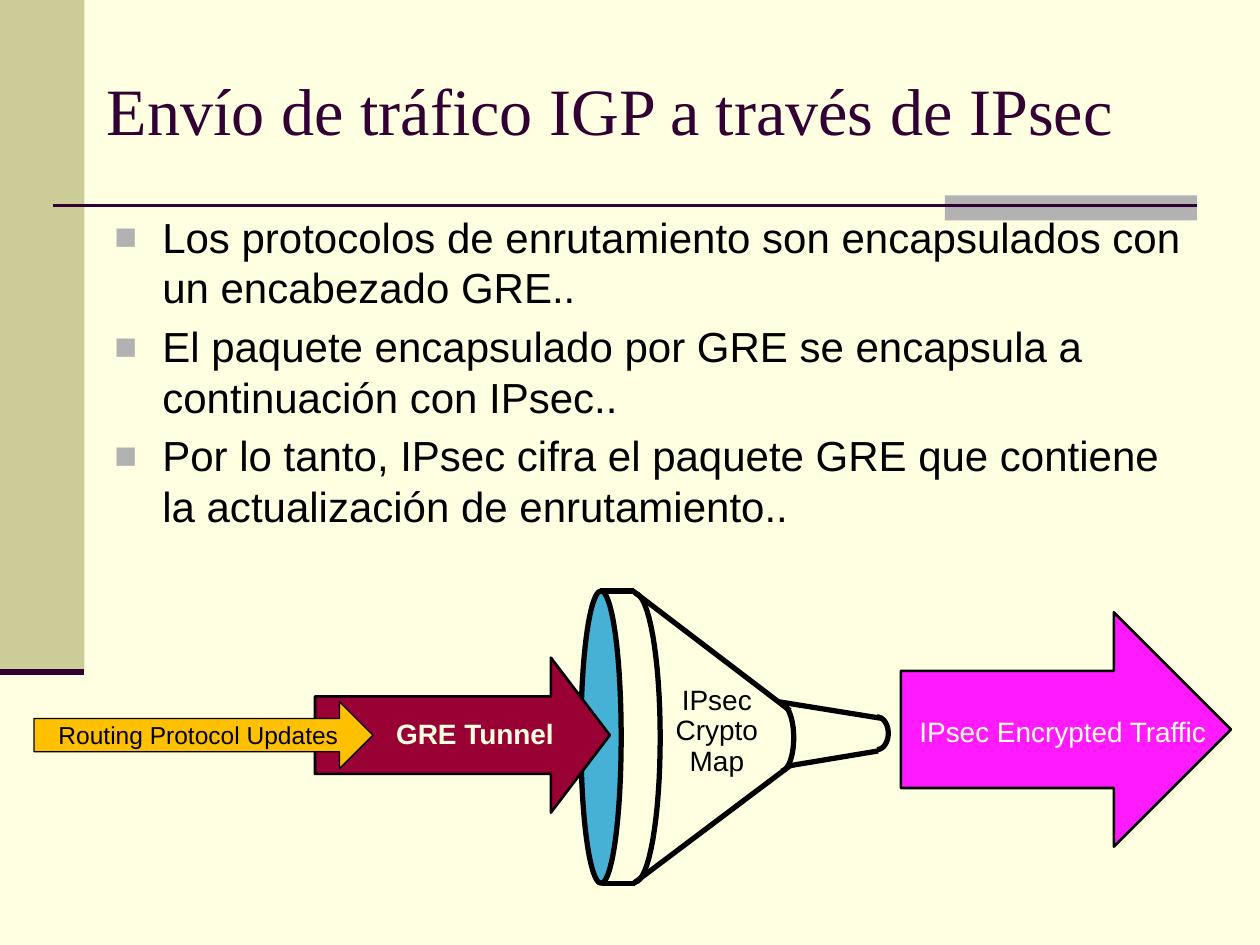
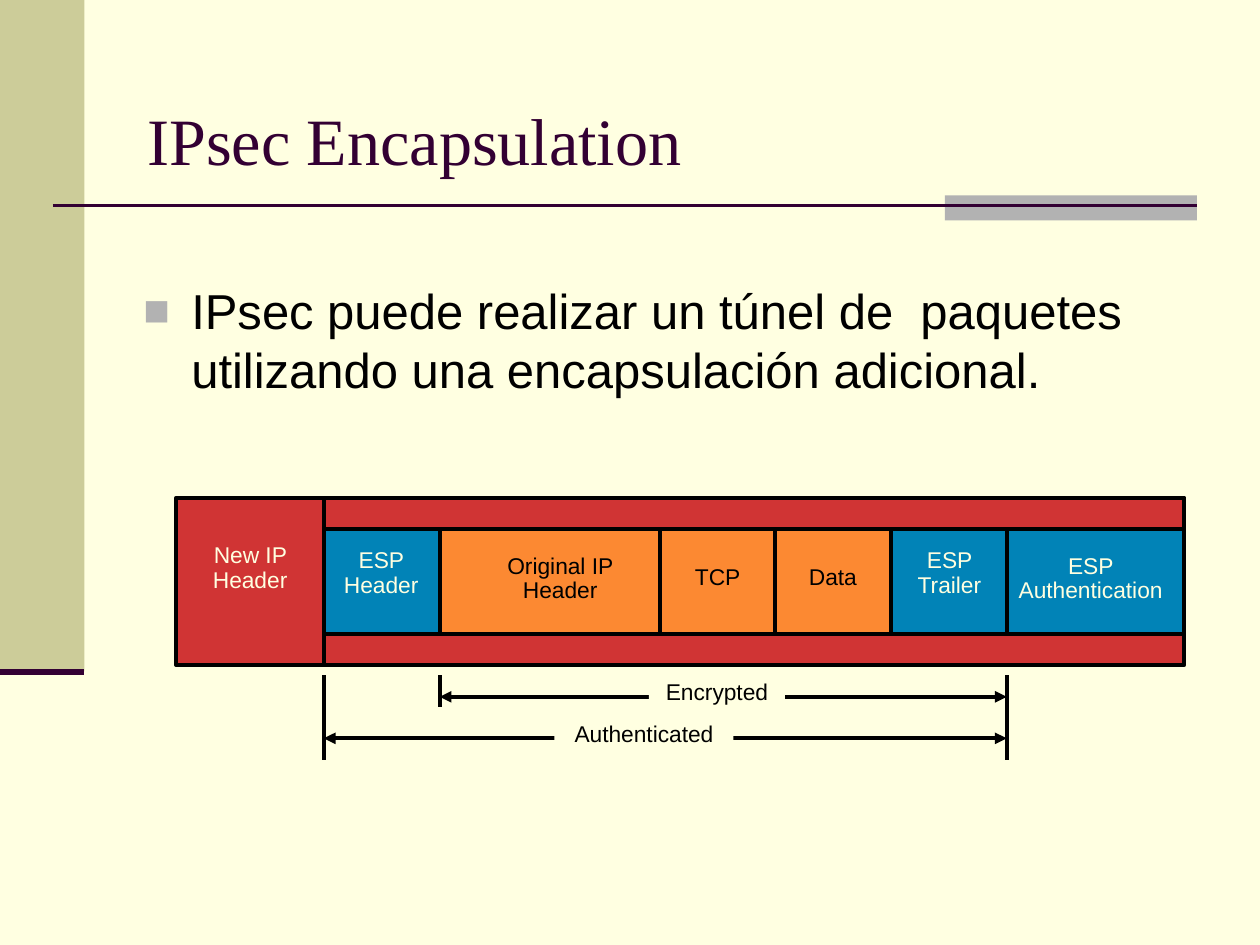
import math
import pptx
import pptx.util
import pptx.dml.color
import pptx.enum.shapes
import pptx.enum.text
import pptx.oxml.ns
import lxml.etree

Inches = pptx.util.Inches
Pt = pptx.util.Pt
Kind = pptx.enum.shapes.MSO_SHAPE
Align = pptx.enum.text.PP_ALIGN

HUES = {
    "cream": "FFFFE1", "olive": "CCCC99", "gray": "B2B2B2", "plum": "330033",
    "black": "000000", "pink": "FF1AFF", "sky": "47B0D5", "wine": "990033",
    "gold": "FFC000", "red": "D03434", "blue": "0183B7", "orange": "FC8932",
}

TUNNEL = {
    "title": ("Envío de tráfico IGP a través de IPsec", (0.75, 0.5, 8.78, 0.6)),
    "body": ([
        "Los protocolos de enrutamiento son encapsulados con un encabezado GRE..",
        "El paquete encapsulado por GRE se encapsula a continuación con IPsec..",
        "Por lo tanto, IPsec cifra el paquete GRE que contiene la actualización de enrutamiento..",
    ], (0.81, 1.63, 8.82, 2.85), 24),
}
PACKET = {
    "title": ("IPsec Encapsulation", (1.07, 0.74, 8.42, 0.6)),
    "body": (["IPsec puede realizar un túnel de  paquetes utilizando una encapsulación adicional."],
             (1.04, 2.18, 8.49, 1.16), 28),
}

ARROWS = {
    "out": ((7.15, 4.86, 2.62, 1.86), 0.5, "pink", 1.5,
            "IPsec Encrypted Traffic", (7.12, 5.65, 2.63, 0.34), 16, "cream", False),
    "gre": ((2.5, 5.22, 2.34, 1.23), 0.38, "wine", 1.5,
            "GRE Tunnel", (2.87, 5.67, 1.8, 0.32), 16, "cream", True),
    "route": ((0.27, 5.57, 2.69, 0.53), 0.5, "gold", 0.75,
              "Routing Protocol Updates", (0.28, 5.69, 2.59, 0.31), 14, "black", False),
}
MOUTH = (4.61, 4.69, 0.32, 2.32)
ARCS = [(5.04, 4.71, 7.0, 0.2), (6.2, 5.59, 6.12, 0.1), (6.96, 5.69, 5.95, 0.09)]
WALLS = [
    (4.76, 4.69, 5.03, 4.69), (4.78, 7.01, 5.04, 7.01),
    (5.03, 7.01, 6.28, 6.07), (5.01, 4.68, 6.27, 5.64),
    (6.25, 6.08, 6.97, 5.96), (6.18, 5.57, 6.99, 5.7),
]
FUNNEL = (["IPsec", "Crypto", "Map"], (5.26, 5.4, 0.86, 0.87))

EDGES = [2.57, 3.49, 5.24, 6.15, 7.07, 7.99, 9.4]
CELLS = [
    ("ESP Header", "blue", "cream", (0.08, 0.16, 0.09)),
    ("Original IP Header", "orange", "black", (0.42, 0.2, 0.26)),
    ("TCP", "orange", "black", (0.1, 0.29, 0.1)),
    ("Data", "orange", "black", (0.1, 0.29, 0.1)),
    ("ESP Trailer", "blue", "cream", (0.13, 0.16, 0.12)),
    ("ESP Authentication", "blue", "cream", (0.04, 0.2, 0.12)),
]
OUTER = (3.95, 1.33)
INNER = (4.2, 0.83)
SPANS = [
    ("Authenticated", 0, 5, 5.86, (4.4, 5.7, 1.42, 0.29)),
    ("Encrypted", 1, 5, 5.53, (5.15, 5.36, 1.08, 0.29)),
]
TICKS = [(0, 6.03), (5, 6.03), (1, 5.61)]


def tint(name):
    return pptx.dml.color.RGBColor.from_string(HUES[name])


def put(item, vals):
    for key, val in vals.items():
        setattr(item, key, val)


def node(root, tag, **vals):
    part = lxml.etree.SubElement(root, pptx.oxml.ns.qn("a:" + tag))
    for key, val in vals.items():
        part.set(key, str(val))
    return part


def paint(shape, fill=None, line=None):
    shape.shadow.inherit = False
    if fill:
        shape.fill.solid()
        shape.fill.fore_color.rgb = tint(fill)
    else:
        shape.fill.background()
    if line:
        shape.line.color.rgb = tint("black")
        shape.line.width = Pt(line)
    else:
        shape.line.fill.background()


def draw(slide, kind, box, fill, line=None):
    shape = slide.shapes.add_shape(kind, *map(Inches, box))
    paint(shape, fill, line)
    return shape


def rule(slide, ends, width, hue="black", heads=False):
    line = slide.shapes.add_connector(
        pptx.enum.shapes.MSO_CONNECTOR.STRAIGHT, *map(Inches, ends))
    line.line.color.rgb = tint(hue)
    line.line.width = Pt(width)
    if heads:
        stroke = line.line._get_or_add_ln()
        for tag in ("headEnd", "tailEnd"):
            node(stroke, tag, type="triangle")
    node(line._element.spPr, "effectLst")


def write(shape, lines, size, hue, pads=(0.1, 0.05, 0.1), face="Arial",
          bold=False, wrap=True, para={}):
    frame = shape.text_frame
    left, top, right = map(Inches, pads)
    put(frame, {
        "word_wrap": wrap, "vertical_anchor": pptx.enum.text.MSO_ANCHOR.TOP,
        "margin_left": left, "margin_top": top, "margin_right": right,
        "margin_bottom": Inches(0.04),
    })
    for spot, text in enumerate(lines):
        item = frame.add_paragraph() if spot else frame.paragraphs[0]
        put(item, {"alignment": Align.CENTER, "line_spacing": 0.9, **para})
        run = item.add_run()
        run.text = text
        put(run.font, {"name": face, "size": Pt(size), "bold": bold})
        run.font.color.rgb = tint(hue)
    return frame


def label(slide, lines, box, size, hue, **more):
    shape = slide.shapes.add_textbox(*map(Inches, box))
    return write(shape, lines, size, hue, **more)


def mark(item):
    props = item._p.get_or_add_pPr()
    dents = {"marL": Inches(0.38), "indent": -Inches(0.38)}
    for key, val in dents.items():
        props.set(key, str(val))
    node(node(props, "buClr"), "srgbClr", val=HUES["gray"])
    node(props, "buSzPct", val=90000)
    node(props, "buFont", typeface="Arial")
    node(props, "buChar", char="■")


def start(deck, page):
    slide = deck.slides.add_slide(deck.slide_layouts[6])
    slide.background.fill.solid()
    slide.background.fill.fore_color.rgb = tint("cream")
    draw(slide, Kind.RECTANGLE, (0, 0, 0.67, 5.33), "olive")
    draw(slide, Kind.RECTANGLE, (7.5, 1.55, 2, 0.2), "gray")
    rule(slide, (0.42, 1.63, 9.5, 1.63), 1.5, "plum")
    rule(slide, (0, 5.33, 0.67, 5.33), 3.5, "plum")
    left = {"alignment": Align.LEFT, "line_spacing": 1.0}
    title, box = page["title"]
    label(slide, [title], box, 37.8, "plum", face="Times New Roman", para=left)
    lines, box, size = page["body"]
    frame = label(slide, lines, box, size, "black",
                  para={**left, "space_before": Pt(size * 0.2)})
    for item in frame.paragraphs:
        mark(item)
    return slide


def arrow(slide, name):
    box, tip, fill, line, text, spot, size, hue, bold = ARROWS[name]
    shape = draw(slide, Kind.RIGHT_ARROW, box, fill, line)
    shape.adjustments[1] = tip
    label(slide, [text], spot, size, hue, bold=bold)


def arc(slide, left, top, end, reach):
    half = (end - top) / 2
    turns = [math.pi * step / 32 for step in range(33)]
    dots = [(Inches(left + reach * math.sin(turn)),
             Inches(top + half - half * math.cos(turn))) for turn in turns]
    curve = slide.shapes.build_freeform(*dots[0])
    curve.add_line_segments(dots[1:], close=False)
    paint(curve.convert_to_shape(), line=3)


def tunnel(deck):
    slide = start(deck, TUNNEL)
    arrow(slide, "out")
    draw(slide, Kind.OVAL, MOUTH, "sky", 3)
    for curve in ARCS:
        arc(slide, *curve)
    for wall in WALLS:
        rule(slide, wall, 3)
    lines, box = FUNNEL
    label(slide, lines, box, 16, "black", wrap=False)
    arrow(slide, "gre")
    arrow(slide, "route")


def packet(deck):
    slide = start(deck, PACKET)
    top, tall = OUTER
    first, last = EDGES[0], EDGES[-1]
    draw(slide, Kind.RECTANGLE, (first, top, last - first, tall), "red", 2.25)
    head = draw(slide, Kind.RECTANGLE, (1.4, top, first - 1.4, tall), "red", 2.25)
    write(head, ["New IP Header"], 13, "cream", (0.26, 0.37, 0.26))
    top, tall = INNER
    for (text, fill, hue, pads), left, right in zip(CELLS, EDGES, EDGES[1:]):
        cell = draw(slide, Kind.RECTANGLE, (left, top, right - left, tall), fill, 2.25)
        write(cell, [text], 13, hue, pads)
    for text, left, right, high, box in SPANS:
        rule(slide, (EDGES[left], high, EDGES[right], high), 2.25, heads=True)
        tag = draw(slide, Kind.RECTANGLE, box, "cream")
        write(tag, [text], 13, "black", (0.09, 0.04, 0.09))
    for edge, end in TICKS:
        rule(slide, (EDGES[edge], 5.36, EDGES[edge], end), 2.25)


def main():
    deck = pptx.Presentation()
    put(deck, {"slide_width": Inches(10), "slide_height": Inches(7.5)})
    tunnel(deck)
    packet(deck)
    deck.save("out.pptx")


if __name__ == "__main__":
    main()
